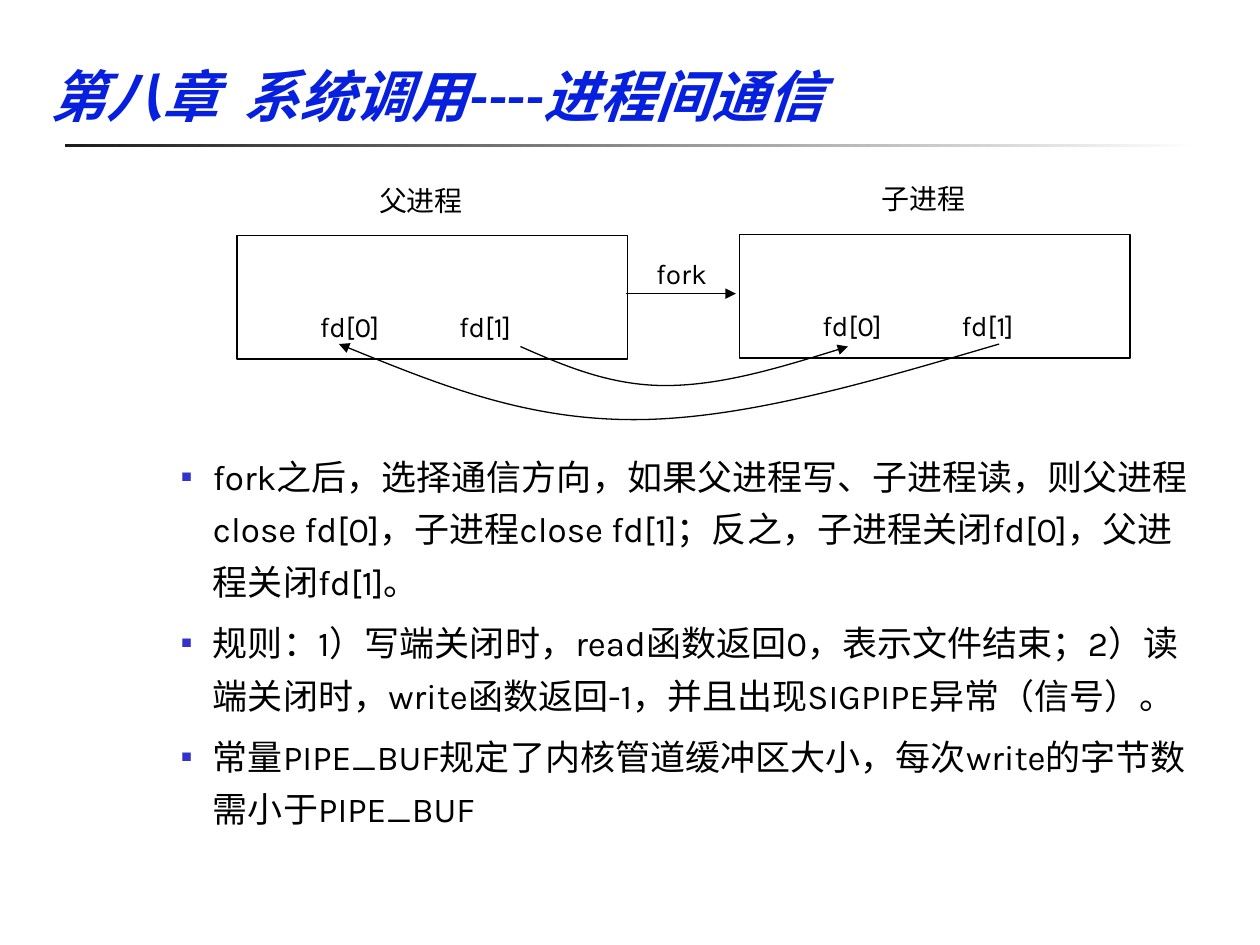
from dataclasses import dataclass

from lxml import etree
from pptx import Presentation
from pptx.dml.color import RGBColor
from pptx.enum.shapes import MSO_CONNECTOR, MSO_SHAPE
from pptx.enum.text import MSO_ANCHOR, MSO_AUTO_SIZE, PP_ALIGN
from pptx.oxml.ns import qn
from pptx.util import Pt

RECTANGLE = MSO_SHAPE.RECTANGLE
STRAIGHT = MSO_CONNECTOR.STRAIGHT
BOTTOM, TOP = MSO_ANCHOR.BOTTOM, MSO_ANCHOR.TOP
LEFT = PP_ALIGN.LEFT
NO_AUTOFIT = MSO_AUTO_SIZE.NONE

BLACK = RGBColor(0x00, 0x00, 0x00)
WHITE = RGBColor(0xFF, 0xFF, 0xFF)
RULE_DARK = RGBColor(0x1C, 0x1C, 0x1C)
TITLE_BLUE = RGBColor(0x06, 0x20, 0xDE)
BULLET_BLUE = RGBColor(0x33, 0x33, 0xCC)

FONT = "Karla"
LINE_WIDTH = Pt(0.75)
FD_TAB = Pt(79.5)

TITLE = "第八章  系统调用----进程间通信"
RULES = [
    "fork之后，选择通信方向，如果父进程写、子进程读，则父进程close fd[0]，"
    "子进程close fd[1]；反之，子进程关闭fd[0]，父进程关闭fd[1]。",
    "规则：1）写端关闭时，read函数返回0，表示文件结束；"
    "2）读端关闭时，write函数返回-1，并且出现SIGPIPE异常（信号）。",
    "常量PIPE_BUF规定了内核管道缓冲区大小，每次write的字节数需小于PIPE_BUF",
]


@dataclass(frozen=True)
class Process:
    name: str
    left: float
    top: float


@dataclass(frozen=True)
class Pipe:
    """A curve: the start point, then three points for each Bezier segment."""
    points: tuple[tuple[float, float], ...]


PROCESSES = [Process("父进程", 135.4, 134.6), Process("子进程", 422.6, 133.9)]
PIPES = [
    Pipe(((571, 196.6), (497.5, 218.2), (424.8, 239.8), (362.2, 239.8),
          (299.5, 239.8), (247, 218.2), (193.7, 196.6))),
    Pipe(((297.4, 198), (323.3, 209.5), (349.2, 220.3), (380.2, 220.3),
          (411.8, 220.3), (447.8, 209.5), (484.6, 198))),
]


def add_child(parent, tag: str, **attributes: str):
    return etree.SubElement(parent, qn(tag), attributes)


def place(shape, left: float, top: float, width: float, height: float) -> None:
    box = dict(left=left, top=top, width=width, height=height)
    for side, value in box.items():
        setattr(shape, side, Pt(value))


def style_font(font, size: float, color: RGBColor, **extra: bool) -> None:
    for name, value in dict(name=FONT, size=Pt(size), **extra).items():
        setattr(font, name, value)
    font.color.rgb = color


def style_line(shape, arrow: bool = False) -> None:
    shape.line.color.rgb = BLACK
    shape.line.width = LINE_WIDTH
    if arrow:
        add_child(shape.line._get_or_add_ln(), "a:tailEnd", type="triangle")


def add_label(slide, text: str, left: float, top: float, width: float):
    label = slide.shapes.add_textbox(Pt(left), Pt(top), Pt(width), Pt(26.6))
    frame = label.text_frame
    for name, value in dict(word_wrap=True, margin_right=0,
                            vertical_anchor=BOTTOM).items():
        setattr(frame, name, value)
    paragraph = frame.paragraphs[0]
    paragraph.text = text
    style_font(paragraph.runs[0].font, 16, BLACK)
    return paragraph


def add_process(slide, process: Process) -> None:
    box = slide.shapes.add_shape(RECTANGLE, Pt(process.left), Pt(process.top),
                                 Pt(223.2), Pt(70.6))
    box.shadow.inherit = False
    box.fill.background()
    style_line(box)
    add_label(slide, process.name, process.left + 74.1, process.top - 33.8, 62)
    descriptors = add_label(slide, "fd[0]\tfd[1]", process.left + 40.3,
                            process.top + 38.6, 134)
    tabs = add_child(descriptors._p.get_or_add_pPr(), "a:tabLst")
    add_child(tabs, "a:tab", pos=str(FD_TAB), algn="l")


def add_pipe(slide, pipe: Pipe) -> None:
    start, *rest = [(Pt(x), Pt(y)) for x, y in pipe.points]
    builder = slide.shapes.build_freeform(*start)
    builder.add_line_segments(rest, close=False)
    curve = builder.convert_to_shape()
    segments = list(curve._element.iter(qn("a:lnTo")))
    outline = segments[0].getparent()
    for first in range(0, len(segments), 3):
        bezier = add_child(outline, "a:cubicBezTo")
        for segment in segments[first:first + 3]:
            bezier.append(segment[0])
            outline.remove(segment)
    curve.shadow.inherit = False
    curve.fill.background()
    style_line(curve, arrow=True)


def add_fork(slide) -> None:
    add_label(slide, "fork", 367.9, 142.6, 44.6)
    arrow = slide.shapes.add_connector(STRAIGHT, Pt(358), Pt(167.8),
                                       Pt(420.5), Pt(167.8))
    style_line(arrow, arrow=True)
    add_child(arrow._element.spPr, "a:effectLst")


def add_title_rule(slide) -> None:
    rule = slide.shapes.add_shape(RECTANGLE, Pt(36.9), Pt(82.1), Pt(648), Pt(2.2))
    rule.shadow.inherit = False
    rule.line.fill.background()
    rule.fill.gradient()
    rule.fill.gradient_angle = 0
    for stop, color, position in zip(rule.fill.gradient_stops,
                                     (RULE_DARK, WHITE), (0, 1)):
        stop.color.rgb = color
        stop.position = position


def fill_title(title) -> None:
    place(title, 21.6, 16.6, 613.4, 60.5)
    frame = title.text_frame
    frame.text = TITLE
    frame.vertical_anchor = BOTTOM
    frame.auto_size = NO_AUTOFIT
    paragraph = frame.paragraphs[0]
    paragraph.alignment = LEFT
    style_font(paragraph.runs[0].font, 32, TITLE_BLUE, bold=True, italic=True)


def fill_rules(body) -> None:
    place(body, 42.5, 250.6, 652.3, 270.7)
    frame = body.text_frame
    frame.text = "\n".join(RULES)
    frame.vertical_anchor = TOP
    frame.auto_size = NO_AUTOFIT
    for paragraph in frame.paragraphs:
        paragraph.line_spacing = 1.25
        paragraph.space_before = Pt(5)
        style_font(paragraph.runs[0].font, 20, BLACK)
        properties = paragraph._p.get_or_add_pPr()
        properties.set("marL", str(Pt(72)))
        properties.set("indent", str(-Pt(18)))
        color = add_child(properties, "a:buClr")
        add_child(color, "a:srgbClr", val=str(BULLET_BLUE))
        add_child(properties, "a:buSzPct", val="50000")
        add_child(properties, "a:buChar", char="■")


def main() -> None:
    presentation = Presentation()
    presentation.slide_width, presentation.slide_height = Pt(720), Pt(540)
    slide = presentation.slides.add_slide(presentation.slide_layouts[1])
    add_title_rule(slide)
    fill_title(slide.shapes.title)
    fill_rules(slide.placeholders[1])
    for process in PROCESSES:
        add_process(slide, process)
    for pipe in PIPES:
        add_pipe(slide, pipe)
    add_fork(slide)
    presentation.save("out.pptx")


if __name__ == "__main__":
    main()
